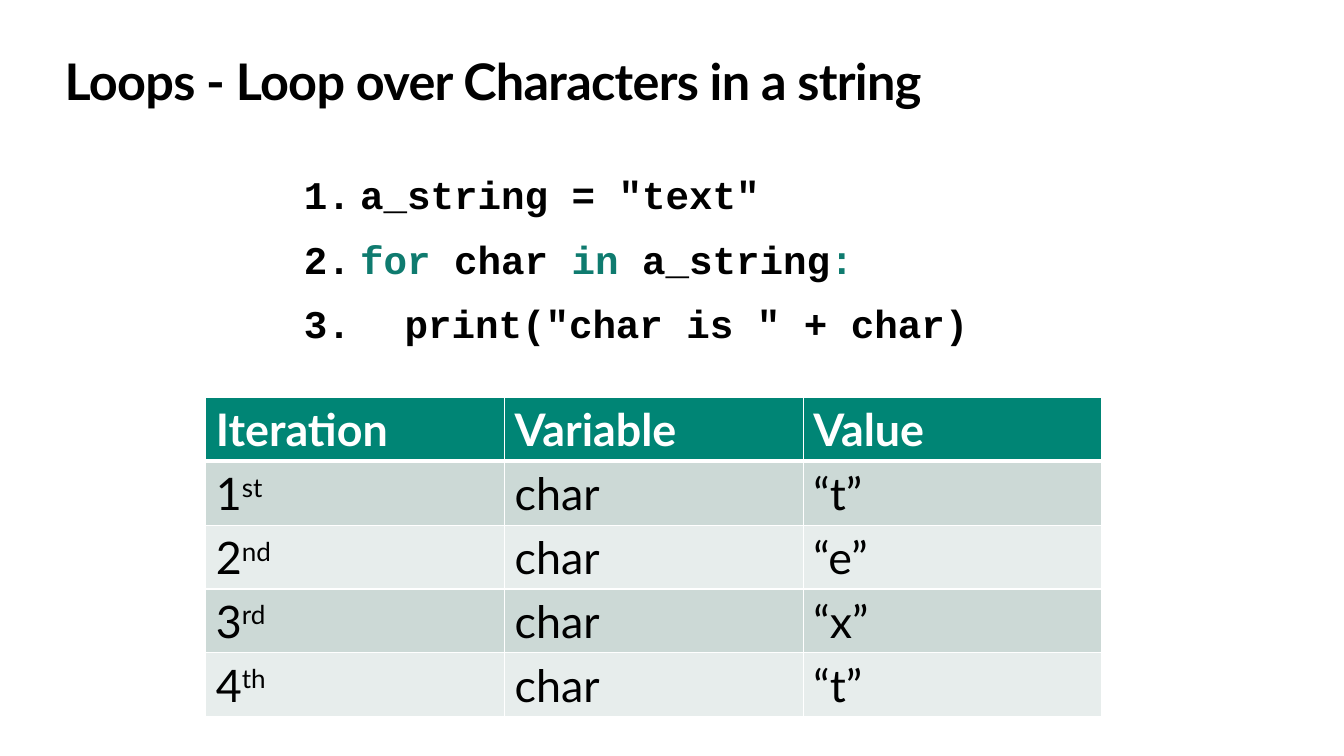
from lxml.etree import SubElement
from pptx import Presentation
from pptx.dml.color import RGBColor
from pptx.enum.text import MSO_ANCHOR
from pptx.oxml.ns import qn
from pptx.util import Inches, Pt

TOP = MSO_ANCHOR.TOP
BLACK = RGBColor(0x00, 0x00, 0x00)
WHITE = RGBColor(0xFF, 0xFF, 0xFF)
KEYWORD = RGBColor(0x0F, 0x7B, 0x6F)
HEADER = RGBColor(0x00, 0x85, 0x75)
BANDS = (RGBColor(0xCC, 0xD9, 0xD6), RGBColor(0xE7, 0xED, 0xEC))
COLUMNS, ROWS = 160, 90

TITLE = "Loops - Loop over Characters in a string"
CODE = [
    [('a_string = "text"', BLACK)],
    [("for", KEYWORD), (" char ", BLACK), ("in", KEYWORD),
     (" a_string", BLACK), (":", KEYWORD)],
    [('\tprint("char is " + char)', BLACK)],
]
HEADINGS = ["Iteration", "Variable", "Value"]
ITERATIONS = [("1", "st", "t"), ("2", "nd", "e"), ("3", "rd", "x"), ("4", "th", "t")]


class LoopSlide:
    """Builds the loop lesson on a grid of 160 columns by 90 rows."""

    heading_font = "Lato"
    code_font = "Courier New"

    def __init__(self, deck):
        self.column = deck.slide_width / COLUMNS
        self.row = deck.slide_height / ROWS
        self.slide = deck.slides.add_slide(deck.slide_layouts[6])

    def place(self, left, top, width, height):
        return (round(left * self.column), round(top * self.row),
                round(width * self.column), round(height * self.row))

    def style(self, run, font, size, color, bold):
        run.font.name = font
        run.font.size = Pt(size)
        run.font.color.rgb = color
        run.font.bold = bold

    def text_area(self, area, inset, top_inset):
        frame = self.slide.shapes.add_textbox(*self.place(*area)).text_frame
        frame.word_wrap = True
        frame.vertical_anchor = TOP
        frame.margin_left = frame.margin_right = frame.margin_bottom = Inches(inset)
        frame.margin_top = Inches(top_inset)
        return frame

    def title(self, wording, area):
        frame = self.text_area(area, 0, 0)
        frame.text = wording
        run = frame.paragraphs[0].runs[0]
        self.style(run, self.heading_font, 36, BLACK, True)
        run.font._element.set("spc", "-50")

    def number(self, paragraph):
        properties = paragraph._p.get_or_add_pPr()
        properties.set("marL", str(Inches(2.56)))
        properties.set("indent", str(Inches(-0.56)))
        bullet_color = SubElement(properties, qn("a:buClr"))
        SubElement(bullet_color, qn("a:srgbClr"), val=str(BLACK))
        SubElement(properties, qn("a:buFont"), typeface=self.code_font)
        SubElement(properties, qn("a:buAutoNum"), type="arabicPeriod")

    def code(self, lines, area):
        frame = self.text_area(area, 0.13, 0.23)
        for index, line in enumerate(lines):
            paragraph = frame.add_paragraph() if index else frame.paragraphs[0]
            self.number(paragraph)
            paragraph.line_spacing = 1.15
            paragraph.space_before = Pt(7.4 if index else 0)
            for wording, color in line:
                run = paragraph.add_run()
                run.text = wording
                self.style(run, self.code_font, 28, color, True)

    def borders(self, cell, top, bottom):
        properties = cell._tc.get_or_add_tcPr()
        for side, width in (("L", 1), ("R", 1), ("T", top), ("B", bottom)):
            line = SubElement(properties, qn(f"a:ln{side}"), w=str(Pt(width)))
            fill = SubElement(line, qn("a:solidFill"))
            SubElement(fill, qn("a:srgbClr"), val=str(WHITE))

    def cell(self, cell, wording, row, suffix=""):
        is_header = row == 0
        self.borders(cell, 3 if row == 1 else 1, 3 if is_header else 1)
        cell.fill.solid()
        cell.fill.fore_color.rgb = HEADER if is_header else BANDS[(row - 1) % 2]
        paragraph = cell.text_frame.paragraphs[0]
        paragraph.text = wording
        if suffix:
            ordinal = paragraph.add_run()
            ordinal.text = suffix
            ordinal.font._element.set("baseline", "30000")
        for run in paragraph.runs:
            self.style(run, self.heading_font, 32, WHITE if is_header else BLACK, is_header)

    def trace(self, headings, iterations, area):
        table = self.slide.shapes.add_table(
            len(iterations) + 1, len(headings), *self.place(*area)).table
        for column, heading in enumerate(headings):
            self.cell(table.cell(0, column), heading, 0)
        for row, (count, suffix, letter) in enumerate(iterations, 1):
            self.cell(table.cell(row, 0), count, row, suffix)
            self.cell(table.cell(row, 1), "char", row)
            self.cell(table.cell(row, 2), f"“{letter}”", row)


def main():
    deck = Presentation()
    deck.slide_width, deck.slide_height = Inches(13.33), Inches(7.5)
    lesson = LoopSlide(deck)
    lesson.title(TITLE, (7.7, 6, 144.6, 7.3))
    lesson.code(CODE, (10.6, 16.7, 144.6, 25.9))
    lesson.trace(HEADINGS, ITERATIONS, (24.5, 47.3, 106.7, 38))
    deck.save("out.pptx")


if __name__ == "__main__":
    main()
